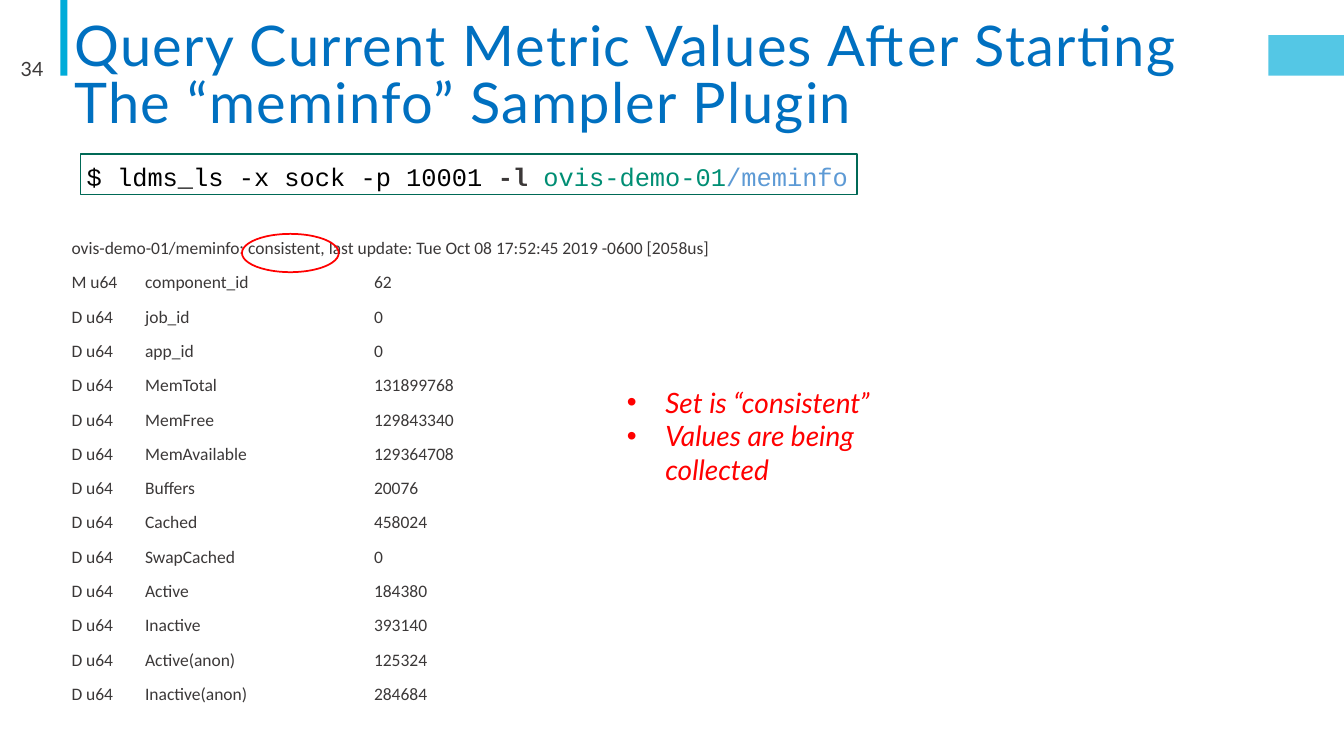
from dataclasses import dataclass

from lxml import etree
from pptx import Presentation
from pptx.dml.color import RGBColor
from pptx.enum.shapes import MSO_SHAPE
from pptx.enum.text import MSO_ANCHOR, PP_ALIGN
from pptx.oxml.ns import qn
from pptx.shapes.autoshape import Shape
from pptx.slide import Slide
from pptx.util import Inches, Pt

RECTANGLE, OVAL = MSO_SHAPE.RECTANGLE, MSO_SHAPE.OVAL
TOP, MIDDLE = MSO_ANCHOR.TOP, MSO_ANCHOR.MIDDLE
LEFT, RIGHT = PP_ALIGN.LEFT, PP_ALIGN.RIGHT

COLORS = {
    "accent": "00ACD9", "title": "0070C0", "text": "3B3838", "black": "000000",
    "host": "008E74", "metric_set": "5D9AD5", "frame": "006956", "red": "FF0000",
}


@dataclass
class Box:
    left: float
    top: float
    width: float
    height: float

    def lengths(self) -> list[int]:
        return [Inches(n) for n in (self.left, self.top, self.width, self.height)]


@dataclass
class Style:
    font: str
    size: float
    color: str
    bold: bool = False
    italic: bool = False


@dataclass
class Metric:
    name: str
    value: str
    kind: str = "D u64"


TITLE = "Query Current Metric Values After Starting The “meminfo” Sampler Plugin"
COMMAND = [
    ("$ ldms_ls -x sock -p 10001 ", Style("Courier New", 18.1, "black")),
    ("-l ", Style("Courier New", 18.1, "text", bold=True)),
    ("ovis-demo-01", Style("Courier New", 18.1, "host")),
    ("/meminfo", Style("Courier New", 18.1, "metric_set")),
]
STATUS = "ovis-demo-01/meminfo: consistent, last update: Tue Oct 08 17:52:45 2019 -0600 [2058us]"
METRICS = [
    Metric("component_id", "62", "M u64"),
    Metric("job_id", "0"),
    Metric("app_id", "0"),
    Metric("MemTotal", "131899768"),
    Metric("MemFree", "129843340"),
    Metric("MemAvailable", "129364708"),
    Metric("Buffers", "20076"),
    Metric("Cached", "458024"),
    Metric("SwapCached", "0"),
    Metric("Active", "184380"),
    Metric("Inactive", "393140"),
    Metric("Active(anon)", "125324"),
    Metric("Inactive(anon)", "284684"),
]
METRIC_TABS = (0.73, 3.0)
NOTES = ["Set is “consistent”", "Values are being collected"]


def rgb(name: str) -> RGBColor:
    return RGBColor.from_string(COLORS[name])


def format_run(run, style: Style) -> None:
    run.font.name = style.font
    run.font.size = Pt(style.size)
    run.font.color.rgb = rgb(style.color)
    run.font.bold = style.bold
    run.font.italic = style.italic


def add_bar(slide: Slide, box: Box, opacity: int = 100) -> None:
    shape = slide.shapes.add_shape(RECTANGLE, *box.lengths())
    shape.shadow.inherit = False
    shape.line.fill.background()
    shape.fill.solid()
    shape.fill.fore_color.rgb = rgb("accent")
    if opacity < 100:
        color = shape.fill._xPr.find(qn("a:solidFill"))[0]
        etree.SubElement(color, qn("a:alpha"), val=str(opacity * 1000))


def add_outline(slide: Slide, preset: MSO_SHAPE, box: Box, color: str) -> Shape:
    shape = slide.shapes.add_shape(preset, *box.lengths())
    shape.shadow.inherit = False
    shape.fill.background()
    shape.line.color.rgb = rgb(color)
    shape.line.width = Pt(1.25)
    return shape


def add_text(slide: Slide, box: Box, lines: list[str], style: Style,
             anchor: MSO_ANCHOR = TOP, align: PP_ALIGN = LEFT) -> Shape:
    shape = slide.shapes.add_textbox(*box.lengths())
    frame = shape.text_frame
    frame.word_wrap = True
    frame.vertical_anchor = anchor
    frame.text = "\n".join(lines)
    for paragraph in frame.paragraphs:
        paragraph.alignment = align
        for run in paragraph.runs:
            format_run(run, style)
    return shape


def add_command(slide: Slide) -> None:
    frame = add_outline(slide, RECTANGLE, Box(0.8, 1.53, 7.7, 0.4), "frame").text_frame
    frame.word_wrap = False
    frame.vertical_anchor = MIDDLE
    frame.margin_left, frame.margin_right = Inches(0.06), 0
    frame.margin_top, frame.margin_bottom = Inches(0.05), 0
    paragraph = frame.paragraphs[0]
    paragraph.alignment = LEFT
    for text, style in COMMAND:
        run = paragraph.add_run()
        run.text = text
        format_run(run, style)


def add_listing(slide: Slide) -> None:
    lines = [STATUS] + [f"{m.kind}\t{m.name}\t{m.value}" for m in METRICS]
    shape = add_text(slide, Box(0.71, 2.41, 11.5, 4.87), lines,
                     Style("Calibri", 12.5, "text"))
    frame = shape.text_frame
    frame.margin_left = frame.margin_right = frame.margin_top = frame.margin_bottom = 0
    for index, paragraph in enumerate(frame.paragraphs):
        paragraph.line_spacing = 0.7
        paragraph.space_before = Pt(12 if index else 0)
        paragraph.space_after = Pt(2)
        if index:
            tabs = etree.SubElement(paragraph._p.get_or_add_pPr(), qn("a:tabLst"))
            for position in METRIC_TABS:
                etree.SubElement(tabs, qn("a:tab"), pos=str(Inches(position)), algn="l")


def add_notes(slide: Slide) -> None:
    shape = add_text(slide, Box(6.12, 3.77, 3.03, 1.11), NOTES,
                     Style("Lato", 20, "red", italic=True))
    for paragraph in shape.text_frame.paragraphs:
        properties = paragraph._p.get_or_add_pPr()
        properties.set("marL", str(Inches(0.38)))
        properties.set("indent", str(Inches(-0.38)))
        etree.SubElement(properties, qn("a:buFont"), typeface="Arial")
        etree.SubElement(properties, qn("a:buChar"), char="•")


def main() -> None:
    presentation = Presentation()
    presentation.slide_width, presentation.slide_height = Inches(13.33), Inches(7.5)
    slide = presentation.slides.add_slide(presentation.slide_layouts[6])

    # Accent bars
    add_bar(slide, Box(0.6, 0, 0.07, 0.75))
    add_bar(slide, Box(12.58, 0.35, 0.75, 0.4), opacity=67)

    # Title and slide number
    title = add_text(slide, Box(0.64, 0.15, 11.22, 1.25), [TITLE],
                     Style("Lato", 40, "title"), MIDDLE)
    heading = title.text_frame.paragraphs[0]
    heading.line_spacing = 0.85
    heading.runs[0].font._element.set("spc", "100")
    add_text(slide, Box(0.07, 0.48, 0.46, 0.4), ["34"],
             Style("Lato", 14, "text"), MIDDLE, RIGHT)

    # Command and its output
    add_command(slide)
    add_listing(slide)

    # Remarks and the highlighted state
    add_notes(slide)
    add_outline(slide, OVAL, Box(2.4, 2.32, 0.96, 0.38), "red")

    presentation.save("out.pptx")


if __name__ == "__main__":
    main()
